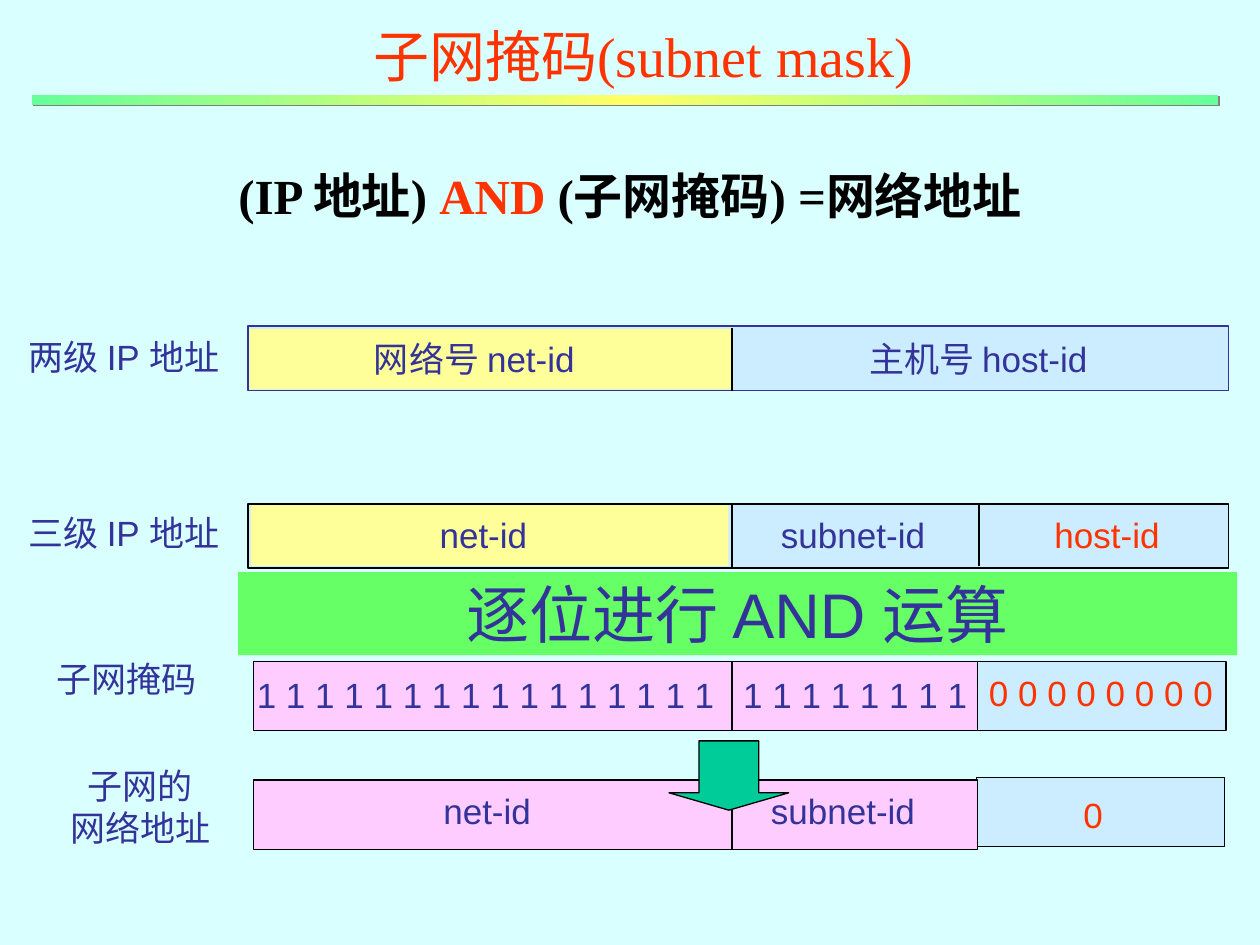
import copy
from dataclasses import dataclass

import pptx
import pptx.dml.color
import pptx.enum.shapes
import pptx.enum.text
import pptx.oxml
import pptx.oxml.ns
import pptx.util

Inches = pptx.util.Inches
Align = pptx.enum.text.PP_ALIGN
Anchor = pptx.enum.text.MSO_ANCHOR
AutoSize = pptx.enum.text.MSO_AUTO_SIZE
Shape = pptx.enum.shapes.MSO_SHAPE

BLACK, INDIGO, RED = "000000", "333399", "FF3300"
YELLOW, BLUE, PINK = "FFFF99", "CCECFF", "FFCCFF"
FIELD_LEFT, NET_END = 2.01, 5.81
NET_WIDTH, SUBNET_WIDTH, HOST_WIDTH = 0.91, 1.36, 1.05


@dataclass
class Block:
    left: float
    top: float
    width: float
    height: float
    fill: str
    line: str = ""
    weight: float = 0.75
    kind: int = Shape.RECTANGLE


@dataclass
class Label:
    text: str
    left: float
    top: float
    width: float
    color: str = INDIGO
    height: float = 0.43
    align: int = Align.LEFT


@dataclass
class Divider:
    left: float
    top: float
    height: float


def rgb(color: str):
    return pptx.dml.color.RGBColor.from_string(color)


def add_span(para, text: str, color: str, **formats):
    span = para.add_run()
    span.text = text
    for name, value in formats.items():
        setattr(span.font, name, value)
    span.font.color.rgb = rgb(color)


def format_frame(frame, **formats):
    for name, value in formats.items():
        setattr(frame, name, value)


def draw_block(page, block: Block):
    shape = page.shapes.add_shape(block.kind, *map(Inches, (
        block.left, block.top, block.width, block.height)))
    shape.shadow.inherit = False
    shape.fill.solid()
    shape.fill.fore_color.rgb = rgb(block.fill)
    if block.line:
        shape.line.color.rgb = rgb(block.line)
        shape.line.width = pptx.util.Pt(block.weight)
    else:
        shape.line.fill.background()
    return shape


def draw_label(page, label: Label):
    box = page.shapes.add_textbox(*map(Inches, (
        label.left, label.top, label.width, label.height)))
    frame = box.text_frame
    format_frame(frame, word_wrap=False, auto_size=AutoSize.SHAPE_TO_FIT_TEXT)
    for index, text in enumerate(label.text.split("\n")):
        para = frame.add_paragraph() if index else frame.paragraphs[0]
        para.alignment = label.align
        add_span(para, text, label.color, name="Arial", size=pptx.util.Pt(20))


def draw_divider(page, divider: Divider):
    line = page.shapes.add_connector(
        pptx.enum.shapes.MSO_CONNECTOR.STRAIGHT,
        Inches(divider.left), Inches(divider.top),
        Inches(divider.left), Inches(divider.top + divider.height))
    line.line.color.rgb = rgb(BLACK)
    line.line.width = pptx.util.Pt(1)
    line._element.spPr.append(pptx.oxml.parse_xml(
        f'<a:effectLst {pptx.oxml.ns.nsdecls("a")}/>'))


def draw_formula(page):
    title = page.shapes.title
    title.left, title.top, title.width, title.height = map(
        Inches, (0.75, 0.92, 8.5, 1.25))
    format_frame(title.text_frame, vertical_anchor=Anchor.MIDDLE, word_wrap=True)
    para = title.text_frame.paragraphs[0]
    para.alignment = Align.CENTER
    for text, color in (("(IP 地址) ", BLACK), ("AND", RED),
                        (" (子网掩码) =网络地址", BLACK)):
        add_span(para, text, color, name="Times New Roman",
                 size=pptx.util.Pt(28), bold=True)


def draw_heading(page):
    box = page.shapes.add_textbox(*map(Inches, (0.98, 0, 8.25, 0.87)))
    format_frame(box.text_frame, vertical_anchor=Anchor.MIDDLE, word_wrap=True)
    para = box.text_frame.paragraphs[0]
    para.alignment = Align.CENTER
    add_span(para, "子网掩码(subnet mask)", RED, name="Times New Roman",
             size=pptx.util.Pt(32))

    # Gradient rule with a hard grey shadow
    rule = draw_block(page, Block(0.25, 0.75, 9.42, 0.08, "66FF99"))
    rule.fill.gradient()
    rule.fill.gradient_angle = 0
    for stop, color in zip(rule.fill.gradient_stops, ("66FF99", "FFFF66")):
        stop.color.rgb = rgb(color)
    properties = rule._element.spPr
    stops = properties.find(".//" + pptx.oxml.ns.qn("a:gsLst"))
    stops.append(copy.deepcopy(stops[0]))
    for stop, position in zip(stops, (0, 50000, 100000)):
        stop.set("pos", str(position))
    effects = properties.find(pptx.oxml.ns.qn("a:effectLst"))
    effects.append(pptx.oxml.parse_xml(
        f'<a:outerShdw {pptx.oxml.ns.nsdecls("a")} dist="17780" dir="2700000">'
        '<a:srgbClr val="808080"/></a:outerShdw>'))


def draw_banner(page):
    banner = draw_block(page, Block(1.89, 4.54, 7.93, 0.66, "66FF66"))
    format_frame(banner.text_frame, vertical_anchor=Anchor.MIDDLE, word_wrap=False)
    para = banner.text_frame.paragraphs[0]
    para.alignment = Align.CENTER
    add_span(para, "逐位进行 AND 运算", INDIGO, name="Arial", size=pptx.util.Pt(36))


PARTS = [
    # Two-level address
    Block(1.97, 2.59, 7.78, 0.51, BLUE, INDIGO, 1),
    Block(1.98, 2.61, 3.82, 0.48, YELLOW),
    Divider(NET_END, 2.6, 0.5),
    Label("两级 IP 地址", 0.13, 2.61, 1.85),
    Label("网络号 net-id", 2.87, 2.63, 1.86),
    Label("主机号 host-id", 6.8, 2.63, 2),
    # Three-level address
    Block(1.97, 4, 7.78, 0.51, BLUE, BLACK, 1),
    Block(1.99, 4.01, 3.79, 0.48, YELLOW),
    Divider(NET_END, 4.01, 0.49),
    Divider(7.77, 3.99, 0.5),
    Label("三级 IP 地址", 0.13, 4.01, 1.85),
    Label("net-id", 3.39, 4.03, NET_WIDTH),
    Label("subnet-id", 6.1, 4.03, SUBNET_WIDTH),
    Label("host-id", 8.27, 4.03, HOST_WIDTH, RED),
    # Subnet mask
    Block(7.76, 5.25, 1.97, 0.55, BLUE, BLACK),
    Block(FIELD_LEFT, 5.25, 5.75, 0.55, PINK, BLACK),
    Divider(NET_END, 5.25, 0.55),
    Label("子网掩码", 0.35, 5.17, 1.31),
    Label(" ".join("1" * 16), 1.94, 5.3, 3.84),
    Label(" ".join("1" * 8), 5.8, 5.3, 1.98),
    Label(" ".join("0" * 8), 7.75, 5.28, 1.98, RED),
    # Network address of the subnet
    Block(7.75, 6.17, 1.97, 0.55, BLUE, BLACK),
    Block(FIELD_LEFT, 6.19, 5.75, 0.55, PINK, BLACK),
    Divider(NET_END, 6.19, 0.55),
    Label("子网的\n网络地址", 0.46, 6.02, 1.31, height=0.76, align=Align.CENTER),
    Label("net-id", 3.42, 6.22, NET_WIDTH),
    Label("subnet-id", 6.02, 6.22, SUBNET_WIDTH),
    Label("0", 8.5, 6.25, 0.35, RED),
]
DRAW = {Block: draw_block, Label: draw_label, Divider: draw_divider}


def main():
    deck = pptx.Presentation()
    deck.slide_width, deck.slide_height = Inches(10), Inches(7.5)
    page = deck.slides.add_slide(deck.slide_layouts[5])
    page.background.fill.solid()
    page.background.fill.fore_color.rgb = rgb("D9FFFF")

    draw_formula(page)
    for part in PARTS:
        DRAW[type(part)](page, part)
    draw_banner(page)
    arrow = draw_block(page, Block(5.31, 5.88, 0.95, 0.55, "00CC99", BLACK,
                                   kind=Shape.DOWN_ARROW))
    arrow.adjustments[0], arrow.adjustments[1] = 0.5, 0.25
    draw_heading(page)
    deck.save("out.pptx")


if __name__ == "__main__":
    main()
